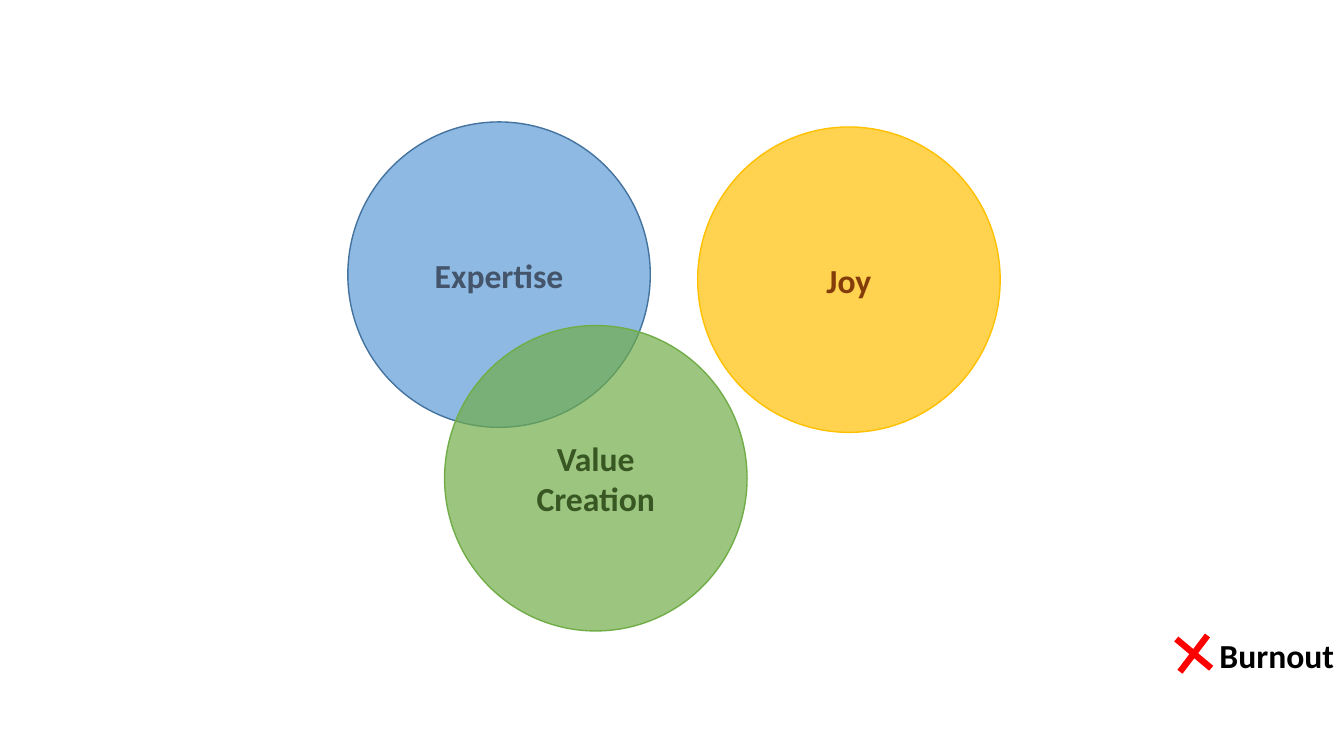
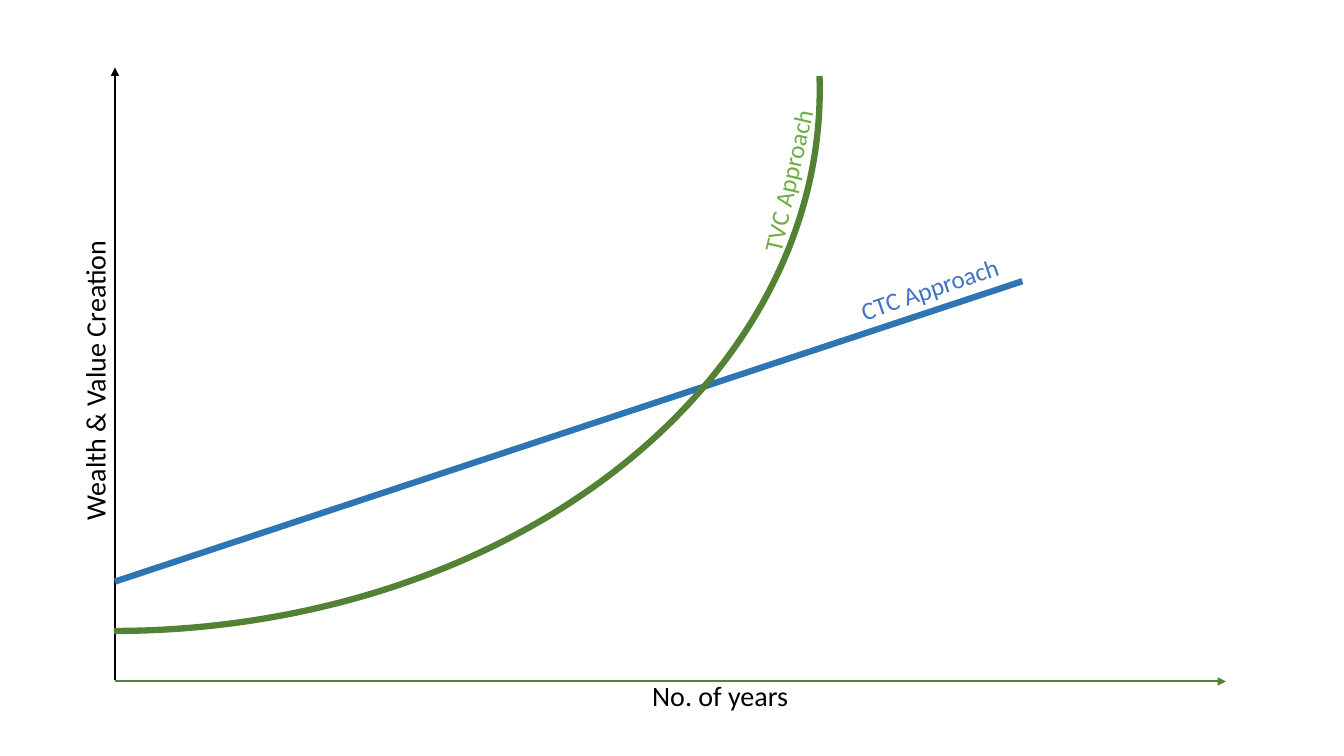
from pptx import Presentation
from pptx.dml.color import RGBColor
from pptx.enum.shapes import MSO_CONNECTOR, MSO_SHAPE
from pptx.enum.text import MSO_ANCHOR, MSO_AUTO_SIZE, PP_ALIGN
from pptx.oxml.ns import qn
from pptx.util import Inches, Pt
from lxml import etree

# Shared style
FONT = "Calibri"
BLACK, RED = "000000", "FF0000"
GREEN, DARK_GREEN = "70AD47", "548235"
CIRCLE_W, CIRCLE_H = 3, 3.03
CIRCLE_ALPHA = 69
ORIGIN_X = 1.14


def rgb(value):
    return RGBColor.from_string(value)


def write(tf, text, size, color, bold=False, align=PP_ALIGN.LEFT):
    tf.text = text
    for p in tf.paragraphs:
        p.alignment = align
        for r in p.runs:
            r.font.name = FONT
            r.font.size = Pt(size)
            r.font.bold = bold
            r.font.color.rgb = rgb(color)


def add_label(shapes, box, text, size, color, rotation=0, wrap=False, **style):
    sp = shapes.add_textbox(*map(Inches, box))
    sp.rotation = rotation
    tf = sp.text_frame
    tf.word_wrap = wrap
    tf.auto_size = MSO_AUTO_SIZE.SHAPE_TO_FIT_TEXT
    write(tf, text, size, color, **style)


def add_preset(shapes, kind, box, fill=None, line=None, width=1, rotation=0):
    sp = shapes.add_shape(kind, *map(Inches, box))
    sp.shadow.inherit = False
    sp.rotation = rotation
    if fill:
        sp.fill.solid()
        sp.fill.fore_color.rgb = rgb(fill)
    else:
        sp.fill.background()
    if line:
        sp.line.color.rgb = rgb(line)
        sp.line.width = Pt(width)
    else:
        sp.line.fill.background()
    return sp


def add_circle(shapes, left, top, text, fill, line, color):
    sp = add_preset(shapes, MSO_SHAPE.OVAL, (left, top, CIRCLE_W, CIRCLE_H), fill, line)
    clr = sp.fill._xPr.find(qn("a:solidFill"))[0]
    etree.SubElement(clr, qn("a:alpha")).set("val", str(CIRCLE_ALPHA * 1000))
    sp.text_frame.vertical_anchor = MSO_ANCHOR.MIDDLE
    write(sp.text_frame, text, 24, color, bold=True, align=PP_ALIGN.CENTER)


def add_line(shapes, start, end, color, width, arrow=False):
    cn = shapes.add_connector(MSO_CONNECTOR.STRAIGHT, *map(Inches, start + end))
    cn.line.color.rgb = rgb(color)
    cn.line.width = Pt(width)
    if arrow:
        ln = cn.line._get_or_add_ln()
        etree.SubElement(ln, qn("a:tailEnd")).set("type", "triangle")
    etree.SubElement(cn._element.spPr, qn("a:effectLst"))


def burnout_slide(shapes):
    # Overlapping circles
    for circle in (
        (3.45, 1.21, "Expertise", "5B9BD5", "43739E", "44546A"),
        (6.92, 1.26, "Joy", "FFC000", "FFC000", "843C0B"),
        (4.41, 3.23, "Value\nCreation", GREEN, GREEN, "385723"),
    ):
        add_circle(shapes, *circle)

    # Verdict with red cross
    verdict = shapes.add_group_shape().shapes
    add_label(verdict, (11.46, 6.25, 1.87, 0.5), "Burnout", 24, BLACK,
              wrap=True, bold=True, align=PP_ALIGN.RIGHT)
    cross = add_preset(verdict, MSO_SHAPE.MATH_MULTIPLY, (11.54, 6.17, 0.6, 0.63),
                       RED, rotation=353.6)
    cross.adjustments[0] = 0.106


def growth_slide(shapes):
    # Vertical axis and axis titles
    add_line(shapes, (ORIGIN_X, 6.75), (ORIGIN_X, 0.67), BLACK, 1.5, arrow=True)
    add_label(shapes, (6.37, 6.68, 1.56, 0.44), "No. of years", 20, BLACK)
    add_label(shapes, (-0.56, 3.54, 3, 0.44), "Wealth & Value Creation", 20, BLACK, 270)

    # Growth curves
    add_line(shapes, (ORIGIN_X, 5.77), (10.14, 2.79), "2E75B6", 4.5)
    curve = add_preset(shapes, MSO_SHAPE.ARC, (-4.24, -6.11, 10.74, 14),
                       line=DARK_GREEN, width=4.5, rotation=90)
    curve.adjustments[0] = 161.336
    curve.adjustments[1] = 0

    # Horizontal axis
    add_line(shapes, (ORIGIN_X, 6.76), (12.16, 6.76), DARK_GREEN, 1.5, arrow=True)

    # Curve labels
    add_label(shapes, (8.41, 2.66, 1.64, 0.4), "CTC Approach", 18, "4472C4", 341.3)
    add_label(shapes, (6.99, 1.58, 1.65, 0.4), "TVC Approach", 18, GREEN, 282.9)


def main():
    prs = Presentation()
    prs.slide_width, prs.slide_height = Inches(13.33), Inches(7.5)
    for build in (burnout_slide, growth_slide):
        build(prs.slides.add_slide(prs.slide_layouts[6]).shapes)
    prs.save("out.pptx")


if __name__ == "__main__":
    main()
